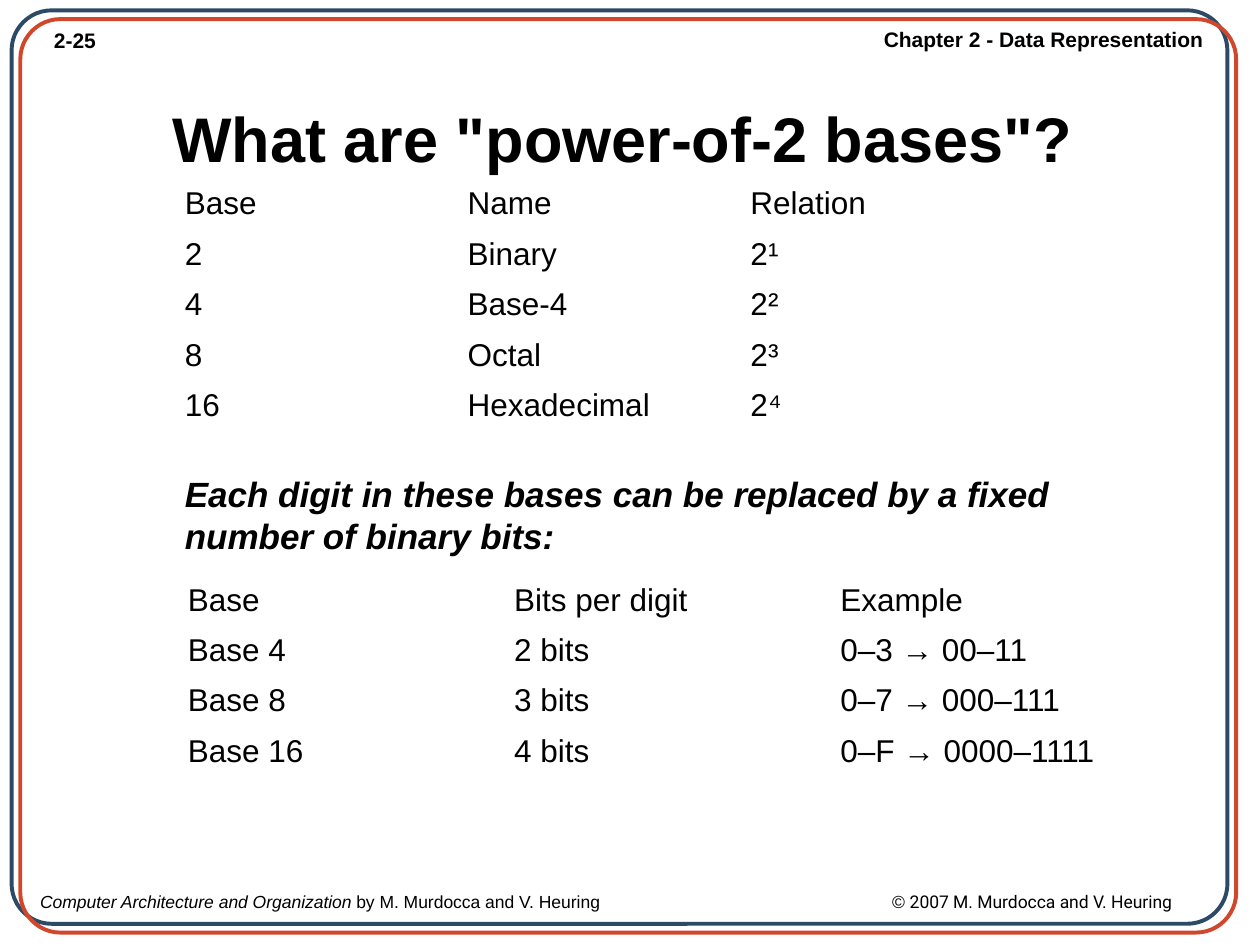
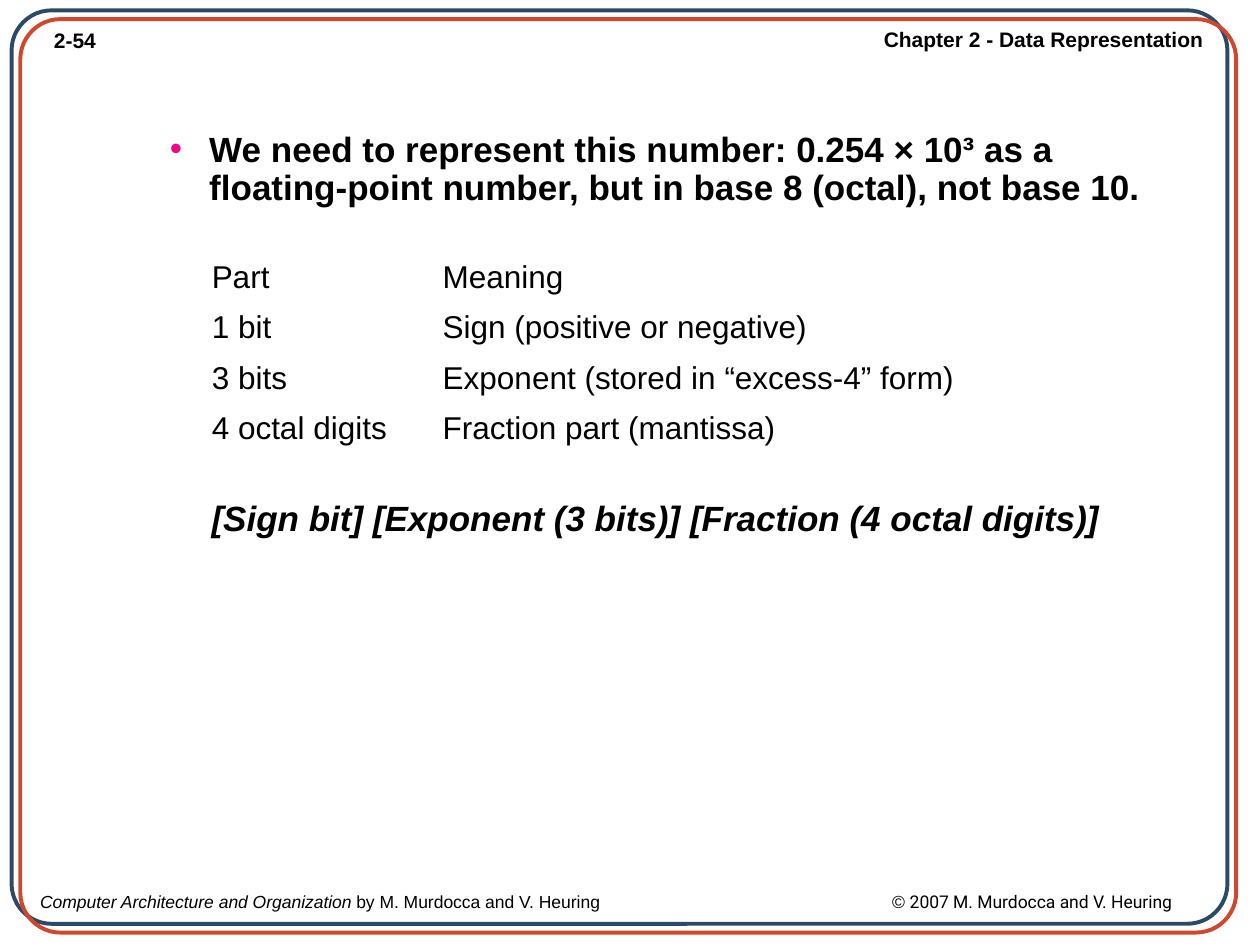
from dataclasses import dataclass

from lxml import etree
from pptx import Presentation
from pptx.dml.color import RGBColor
from pptx.enum import shapes, text
from pptx.oxml.ns import qn
from pptx.util import Pt


@dataclass(frozen=True)
class Theme:
    font: str = "Arial"
    copyright_font: str = "Roboto"
    ink: str = "000000"
    navy: str = "2C4A66"
    red: str = "D1472B"
    pink: str = "F20884"
    title_size: float = 36
    body_size: float = 20
    table_size: float = 18
    header_size: float = 12
    footer_size: float = 10
    frame_line: float = 2.25
    row_height: float = 28.8


THEME = Theme()


def add_run(paragraph, words, size, font=THEME.font, **emphasis):
    run = paragraph.add_run()
    run.text = words
    look = {"name": font, "size": Pt(size), "bold": False, "italic": False} | emphasis
    for attribute, value in look.items():
        setattr(run.font, attribute, value)
    run.font.color.rgb = RGBColor.from_string(THEME.ink)


def add_paragraph_box(slide, box, align=text.PP_ALIGN.LEFT, anchor=text.MSO_ANCHOR.TOP):
    """Add a wrapping text box and return its first paragraph."""
    frame = slide.shapes.add_textbox(*map(Pt, box)).text_frame
    frame.word_wrap = True
    frame.vertical_anchor = anchor
    paragraph = frame.paragraphs[0]
    paragraph.alignment = align
    return paragraph


def add_tab_stop(paragraph, position):
    tabs = etree.SubElement(paragraph._p.get_or_add_pPr(), qn("a:tabLst"))
    etree.SubElement(tabs, qn("a:tab"), pos=str(Pt(position)), algn="l")


def add_bullet(paragraph, indent):
    properties = paragraph._p.get_or_add_pPr()
    properties.set("marL", str(Pt(indent)))
    properties.set("indent", str(-Pt(indent)))
    colour = etree.SubElement(properties, qn("a:buClr"))
    etree.SubElement(colour, qn("a:srgbClr"), val=THEME.pink)
    etree.SubElement(properties, qn("a:buFont"), typeface=THEME.font)
    etree.SubElement(properties, qn("a:buChar"), char="•")


def add_frame(slide, left, top, colour):
    outline = slide.shapes.add_shape(
        shapes.MSO_SHAPE.ROUNDED_RECTANGLE, Pt(left), Pt(top), Pt(694.8), Pt(522))
    outline.adjustments[0] = 0.044
    outline.shadow.inherit = False
    outline.fill.background()
    outline.line.color.rgb = RGBColor.from_string(colour)
    outline.line.width = Pt(THEME.frame_line)


def add_chapter_slide(deck, number):
    """Add a slide with the page number, chapter, footer and double frame."""
    slide = deck.slides.add_slide(deck.slide_layouts[6])
    page = add_paragraph_box(slide, (23.76, 12.24, 44, 21.6))
    add_run(page, number, THEME.header_size, bold=True)
    chapter = add_paragraph_box(slide, (480, 11.5, 214.8, 21.6), text.PP_ALIGN.RIGHT)
    add_run(chapter, "Chapter 2 - Data Representation", THEME.header_size, bold=True)

    footer = add_paragraph_box(slide, (15.84, 505.44, 704.16, 18.72))
    add_tab_stop(footer, 486.8)
    size = THEME.footer_size
    add_run(footer, "Computer Architecture and Organization ", size, italic=True)
    add_run(footer, "by M. Murdocca and V. Heuring\t© ", size)
    add_run(footer, "2007 M. Murdocca and V. Heuring", size, THEME.copyright_font)

    add_frame(slide, 6.6, 5.9, THEME.navy)
    add_frame(slide, 11.6, 10.9, THEME.red)
    return slide


def add_title(slide, words):
    title = add_paragraph_box(slide, (17.28, 36, 676.8, 90),
                              text.PP_ALIGN.CENTER, text.MSO_ANCHOR.MIDDLE)
    title.line_spacing = 0.9
    add_run(title, words, THEME.title_size, bold=True)


def add_statement(slide, box, words):
    add_run(add_paragraph_box(slide, box), words, THEME.body_size, bold=True, italic=True)


def add_plain_table(slide, left, top, widths, rows):
    table = slide.shapes.add_table(
        len(rows), len(widths), Pt(left), Pt(top),
        Pt(sum(widths)), Pt(THEME.row_height * len(rows))).table
    table.first_row = table.horz_banding = False
    for column, width in zip(table.columns, widths):
        column.width = Pt(width)
    for row, entries in zip(table.rows, rows):
        row.height = Pt(THEME.row_height)
        for cell, entry in zip(row.cells, entries):
            cell.fill.background()
            cell.vertical_anchor = text.MSO_ANCHOR.MIDDLE
            add_run(cell.text_frame.paragraphs[0], entry, THEME.table_size)


def build_bases_slide(deck):
    slide = add_chapter_slide(deck, "2-25")
    add_title(slide, 'What are "power-of-2 bases"?')
    add_plain_table(slide, 98.5, 102.2, [161.6] * 3, [
        ("Base", "Name", "Relation"),
        ("2", "Binary", "2¹"),
        ("4", "Base-4", "2²"),
        ("8", "Octal", "2³"),
        ("16", "Hexadecimal", "2⁴"),
    ])
    add_statement(slide, (98.5, 266.4, 514, 55.4),
                  "Each digit in these bases can be replaced by a fixed number of binary bits:")
    add_plain_table(slide, 100.2, 328.5, [186.4] * 3, [
        ("Base", "Bits per digit", "Example"),
        ("Base 4", "2 bits", "0–3 → 00–11"),
        ("Base 8", "3 bits", "0–7 → 000–111"),
        ("Base 16", "4 bits", "0–F → 0000–1111"),
    ])


def build_octal_float_slide(deck):
    slide = add_chapter_slide(deck, "2-54")
    task = add_paragraph_box(slide, (90, 72, 588.24, 324))
    task.line_spacing = 0.9
    add_bullet(task, 22.5)
    add_run(task, "We need to represent this number: 0.254 × 10³ as a floating-point number, "
                  "but in base 8 (octal), not base 10.", THEME.body_size, bold=True)
    add_plain_table(slide, 113.8, 144.2, [132, 432], [
        ("Part", "Meaning"),
        ("1 bit", "Sign (positive or negative)"),
        ("3 bits", "Exponent (stored in “excess-4” form)"),
        ("4 octal digits", "Fraction part (mantissa)"),
    ])
    add_statement(slide, (113.8, 280.1, 552.2, 31.7),
                  "[Sign bit] [Exponent (3 bits)] [Fraction (4 octal digits)]")


def main():
    deck = Presentation()
    deck.slide_width, deck.slide_height = Pt(720), Pt(540)
    build_bases_slide(deck)
    build_octal_float_slide(deck)
    deck.save("out.pptx")


if __name__ == "__main__":
    main()
